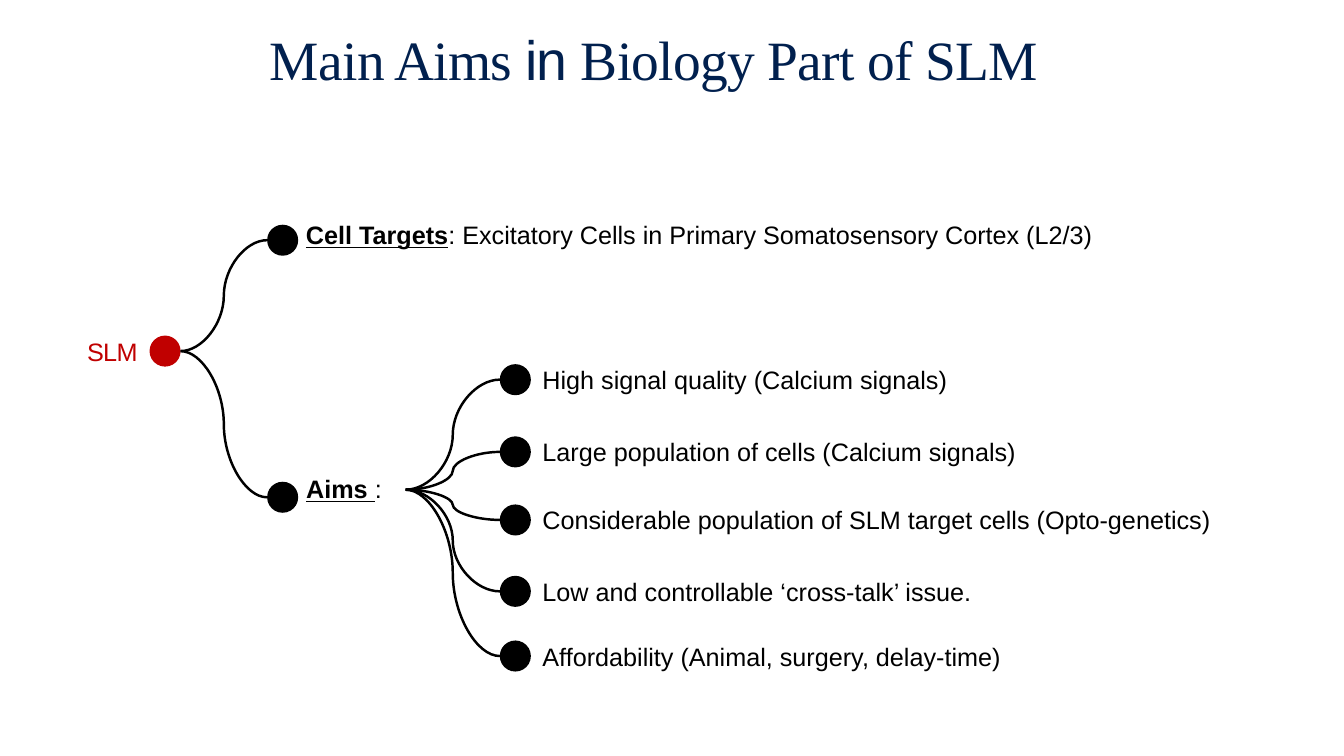
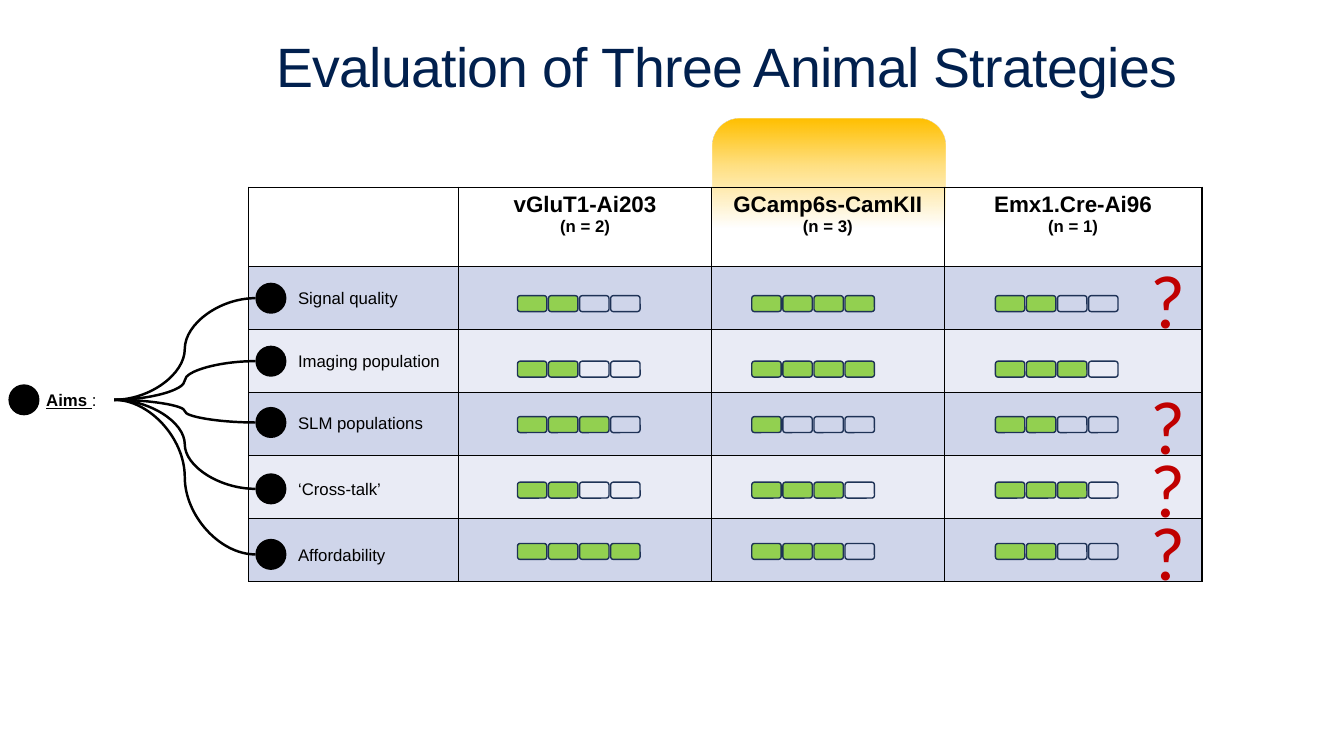
"""Builds two slides: the aims of the SLM work and the rating of three animal strategies."""
from lxml import etree
from pptx import Presentation
from pptx.dml.color import RGBColor
from pptx.enum.shapes import MSO_CONNECTOR, MSO_SHAPE
from pptx.enum.text import MSO_ANCHOR, PP_ALIGN
from pptx.oxml import parse_xml
from pptx.oxml.ns import nsdecls, qn
from pptx.util import Emu, Pt

OVAL, ROUND, CURVE = MSO_SHAPE.OVAL, MSO_SHAPE.ROUNDED_RECTANGLE, MSO_CONNECTOR.CURVE
LEFT, CENTER, MIDDLE = PP_ALIGN.LEFT, PP_ALIGN.CENTER, MSO_ANCHOR.MIDDLE
BLACK = RGBColor(0x00, 0x00, 0x00)
NAVY = RGBColor(0x01, 0x20, 0x4E)
RED = RGBColor(0xC0, 0x00, 0x00)
GREEN = RGBColor(0x92, 0xD0, 0x50)
OUTLINE = RGBColor(0x1E, 0x32, 0x56)
BANDS = RGBColor(0xCF, 0xD5, 0xEA), RGBColor(0xE9, 0xEB, 0xF5)
DOT = 0.37

prs = Presentation()
prs.slide_width, prs.slide_height = Emu(12192000), Emu(6858000)
CELL = prs.slide_width // 16


def add_text(slide, box, parts, size, color=BLACK, align=CENTER, font="Arial", spc=0):
    tb = slide.shapes.add_textbox(*[Emu(int(v * CELL)) for v in box])
    tf = tb.text_frame
    tf.word_wrap, tf.vertical_anchor = True, MIDDLE
    p = tf.paragraphs[0]
    p.alignment = align
    p.font.size, p.font.name, p.font.color.rgb = Pt(size), font, color
    for part in parts:
        r = p.add_run()
        r.text = part
        if spc:
            r.font._element.set("spc", str(spc))
    return p


def add_dots(slide, x, centers, hub=None, color=BLACK):
    for y in centers:
        if hub:
            ends = [Emu(int(v * CELL)) for v in (*hub, x, y)]
            cxn = slide.shapes.add_connector(CURVE, *ends)
            cxn.line.color.rgb, cxn.line.width = BLACK, Pt(1.75)
            etree.SubElement(cxn._element.spPr, qn("a:effectLst"))
        box = [Emu(int(v * CELL)) for v in (x, y - DOT / 2, DOT, DOT)]
        sp = slide.shapes.add_shape(OVAL, *box)
        sp.shadow.inherit = False
        sp.fill.solid()
        sp.fill.fore_color.rgb = color
        sp.line.fill.background()


slides = []
for box, parts, font in (
    ((2.96, 0.35, 9.65, 0.79), ("Main Aims ", "in", " Biology Part of SLM"), "Times New Roman"),
    ((2.2, 0.43, 12.9, 0.79), ("Evaluation of Three Animal Strategies",), "Arial"),
):
    s = prs.slides.add_slide(prs.slide_layouts[6])
    p = add_text(s, box, parts, 39.6, NAVY, font=font, spc=-50)
    p.line_spacing = 0.9
    if len(parts) > 1:
        p.runs[1].font.name = "Arial"
    slides.append(s)
aims, rating = slides

add_text(aims, (0.92, 3.94, 1.03, 0.48), ("SLM",), 18, RED, LEFT, spc=-50)
add_dots(aims, 1.78, [4.18], color=RED)
add_dots(aims, 3.18, [2.86, 5.92], (1.78 + DOT, 4.18))

TABLE_X, TABLE_Y, HEAD_H, ROW_H = 2.96, 2.23, 0.94, 0.75
COLS = 2.5, 3.01, 2.77, 3.07
strategies = ("vGluT1-Ai203", 2), ("GCamp6s-CamKII", 3), ("Emx1.Cre-Ai96", 1)

box = [Emu(int(v * CELL)) for v in (8.48, 1.41, 2.78, 1.96)]
sp = rating.shapes.add_shape(ROUND, *box)
sp.shadow.inherit = False
sp.line.fill.background()
sp.fill.gradient()
sp.fill.gradient_angle = 270
stops = sp._element.spPr.find(".//" + qn("a:gsLst"))
for stop in list(stops):
    stops.remove(stop)
for pos, alpha in ((0, 100), (28, 50), (66, 0)):
    stops.append(parse_xml(
        f'<a:gs {nsdecls("a")} pos="{pos * 1000}"><a:srgbClr val="FFC000">'
        f'<a:alpha val="{alpha * 1000}"/></a:srgbClr></a:gs>'))

size = sum(COLS), HEAD_H + 5 * ROW_H
box = [Emu(int(v * CELL)) for v in (TABLE_X, TABLE_Y, *size)]
table = rating.shapes.add_table(6, len(COLS), *box).table
table.first_row = table.horz_banding = False
for i, width in enumerate(COLS):
    table.columns[i].width = Emu(int(width * CELL))
for i, row in enumerate(table.rows):
    row.height = Emu(int((ROW_H if i else HEAD_H) * CELL))
    for cell in row.cells:
        tcPr = cell._tc.get_or_add_tcPr()
        for side in "LRTB":
            tcPr.append(parse_xml(
                f'<a:ln{side} {nsdecls("a")} w="12700"><a:solidFill>'
                f'<a:srgbClr val="{BLACK}"/></a:solidFill></a:ln{side}>'))
        if i:
            cell.fill.solid()
            cell.fill.fore_color.rgb = BANDS[(i - 1) % 2]
        else:
            cell.fill.background()
for i, (name, count) in enumerate(strategies, 1):
    tf = table.cell(0, i).text_frame
    tf.text = f"{name}\n(n = {count})"
    for p, pt in zip(tf.paragraphs, (16, 12)):
        p.alignment = CENTER
        p.font.size, p.font.name, p.font.bold = Pt(pt), "Arial", True
        p.font.color.rgb = BLACK

add_dots(rating, 0.1, [4.76])

for s, box, parts, pt in (
    (aims, (3.31, 2.33, 10.03, 0.92),
     ("Cell Targets", ": Excitatory Cells in Primary Somatosensory Cortex (L2/3)"), 18),
    (aims, (3.36, 5.36, 1.47, 0.92), ("Aims ", ":"), 18),
    (rating, (0.34, 4.3, 1.02, 0.92), ("Aims ", ":"), 12),
):
    r = add_text(s, box, parts, pt).runs[0]
    r.font.bold = r.font.underline = True

for s, hub, x, centers, labels, width, pt in (
    (aims, (4.83, 5.83), 5.95, (4.52, 5.38, 6.19, 7.04, 7.81),
     ("High signal quality (Calcium signals)", "Large population of cells (Calcium signals)",
      "Considerable population of SLM target cells (Opto-genetics)",
      "Low and controllable ‘cross-talk’ issue.",
      "Affordability (Animal, surgery, delay-time)"), 8.74, 18),
    (rating, (1.36, 4.76), 3.04, (3.55, 4.3, 5.03, 5.82, 6.6),
     ("Signal quality", "Imaging population", "SLM populations", "‘Cross-talk’",
      "Affordability"), 2.1, 12),
):
    add_dots(s, x, centers, hub)
    for y, label in zip(centers, labels):
        add_text(s, (x + DOT + 0.02, y - 0.3, width, 0.6), (label,), pt, align=LEFT)

METER_YS = 3.52, 4.3, 4.96, 5.74, 6.47
for x, scores in ((6.16, (2, 2, 3, 2, 4)), (8.95, (4, 4, 1, 3, 3)), (11.85, (2, 3, 2, 3, 2))):
    for y, score in zip(METER_YS, scores):
        meter = rating.shapes.add_group_shape()
        for i in range(4):
            box = [Emu(int(v * CELL)) for v in (x + i * 0.37, y, 0.35, 0.19)]
            sp = meter.shapes.add_shape(ROUND, *box)
            sp.shadow.inherit = False
            sp.line.color.rgb, sp.line.width = OUTLINE, Pt(1)
            if i < score:
                sp.fill.solid()
                sp.fill.fore_color.rgb = GREEN
            else:
                sp.fill.background()

for row in (0, 2, 3, 4):
    y = TABLE_Y + HEAD_H + row * ROW_H - 0.23
    add_text(rating, (13.54, y, 0.72, 1.21), ("?",), 54, RED, font="Calibri")

prs.save("out.pptx")
